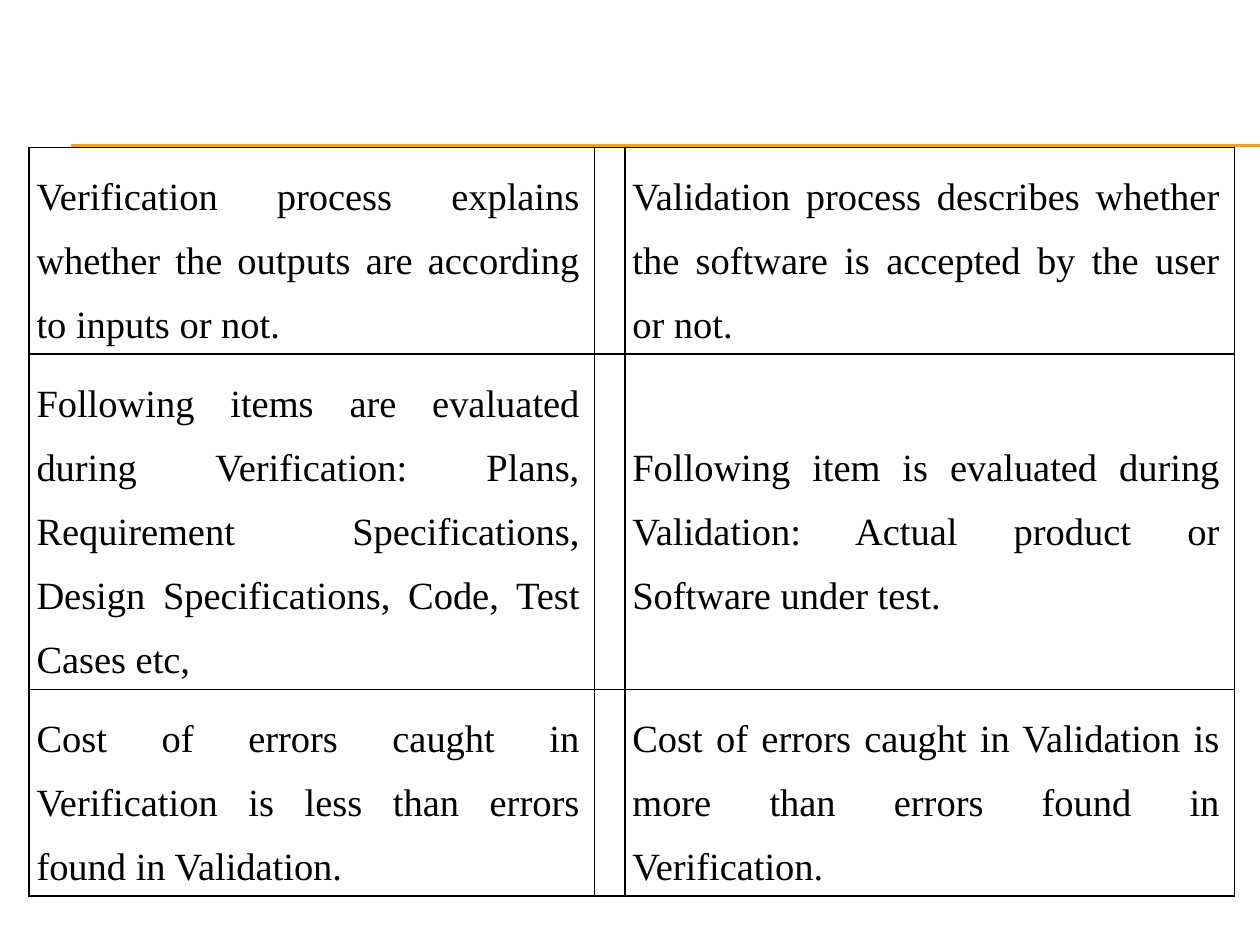
from dataclasses import dataclass

from lxml import etree
from pptx import Presentation
from pptx.dml.color import RGBColor
from pptx.enum.shapes import MSO_CONNECTOR
from pptx.enum.text import MSO_ANCHOR, PP_ALIGN
from pptx.oxml.ns import qn
from pptx.slide import Slide
from pptx.table import _Cell
from pptx.util import Inches, Pt

STRAIGHT = MSO_CONNECTOR.STRAIGHT
MIDDLE = MSO_ANCHOR.MIDDLE
JUSTIFY = PP_ALIGN.JUSTIFY

BLACK = RGBColor(0x00, 0x00, 0x00)
AMBER = RGBColor(0xF0, 0xA2, 0x2E)
FONT = "Times New Roman"

COLUMN_WIDTHS = (4.49, 0.2, 4.84)
RULE_TOPS = (1.15, 1.16)


@dataclass(frozen=True)
class Comparison:
    verification: str
    validation: str
    height: float


COMPARISONS = (
    Comparison(
        "Verification process explains whether the outputs are according to inputs or not.",
        "Validation process describes whether the software is accepted by the user or not.",
        1.64,
    ),
    Comparison(
        "Following items are evaluated during Verification: Plans, Requirement "
        "Specifications, Design Specifications, Code, Test Cases etc,",
        "Following item is evaluated during Validation: Actual product or Software under test.",
        2.66,
    ),
    Comparison(
        "Cost of errors caught in Verification is less than errors found in Validation.",
        "Cost of errors caught in Validation is more than errors found in Verification.",
        1.64,
    ),
)


def add_rule(slide: Slide, top: float) -> None:
    rule = slide.shapes.add_connector(
        STRAIGHT, Inches(0.56), Inches(top), Inches(10), Inches(top)
    )
    rule.line.color.rgb = AMBER
    rule.line.width = Pt(0.75)
    etree.SubElement(rule._element.spPr, qn("a:effectLst"))


def set_borders(cell: _Cell, color: RGBColor, width: float) -> None:
    properties = cell._tc.get_or_add_tcPr()
    for position, side in enumerate(("a:lnL", "a:lnR", "a:lnT", "a:lnB")):
        border = etree.Element(qn(side), w=str(Pt(width)))
        fill = etree.SubElement(border, qn("a:solidFill"))
        etree.SubElement(fill, qn("a:srgbClr"), val=str(color))
        properties.insert(position, border)


def write_text(
    cell: _Cell,
    text: str,
    *,
    size: float = 22,
    color: RGBColor = BLACK,
    alignment: PP_ALIGN = JUSTIFY,
    line_spacing: float = 1.5,
) -> None:
    cell.vertical_anchor = MIDDLE
    cell.margin_left = cell.margin_top = cell.margin_bottom = Inches(0.06)
    cell.margin_right = Inches(0.12)
    paragraph = cell.text_frame.paragraphs[0]
    paragraph.alignment = alignment
    paragraph.line_spacing = line_spacing
    run = paragraph.add_run()
    run.text = text
    run.font.name = FONT
    run.font.size = Pt(size)
    run.font.color.rgb = color


def add_comparison_table(slide: Slide, comparisons: tuple[Comparison, ...]) -> None:
    table = slide.shapes.add_table(
        len(comparisons),
        len(COLUMN_WIDTHS),
        Inches(0.23),
        Inches(1.17),
        Inches(sum(COLUMN_WIDTHS)),
        Inches(sum(comparison.height for comparison in comparisons)),
    ).table
    table.first_row = False
    table.horz_banding = False
    for column, width in zip(table.columns, COLUMN_WIDTHS):
        column.width = Inches(width)
    for row, comparison in zip(table.rows, comparisons):
        row.height = Inches(comparison.height)
        for cell in row.cells:
            cell.fill.background()
            set_borders(cell, BLACK, 1)
        write_text(row.cells[0], comparison.verification)
        write_text(row.cells[2], comparison.validation)


def main() -> None:
    presentation = Presentation()
    presentation.slide_width = Inches(10)
    presentation.slide_height = Inches(7.5)
    slide = presentation.slides.add_slide(presentation.slide_layouts[6])
    for top in RULE_TOPS:
        add_rule(slide, top)
    add_comparison_table(slide, COMPARISONS)
    presentation.save("out.pptx")


if __name__ == "__main__":
    main()
